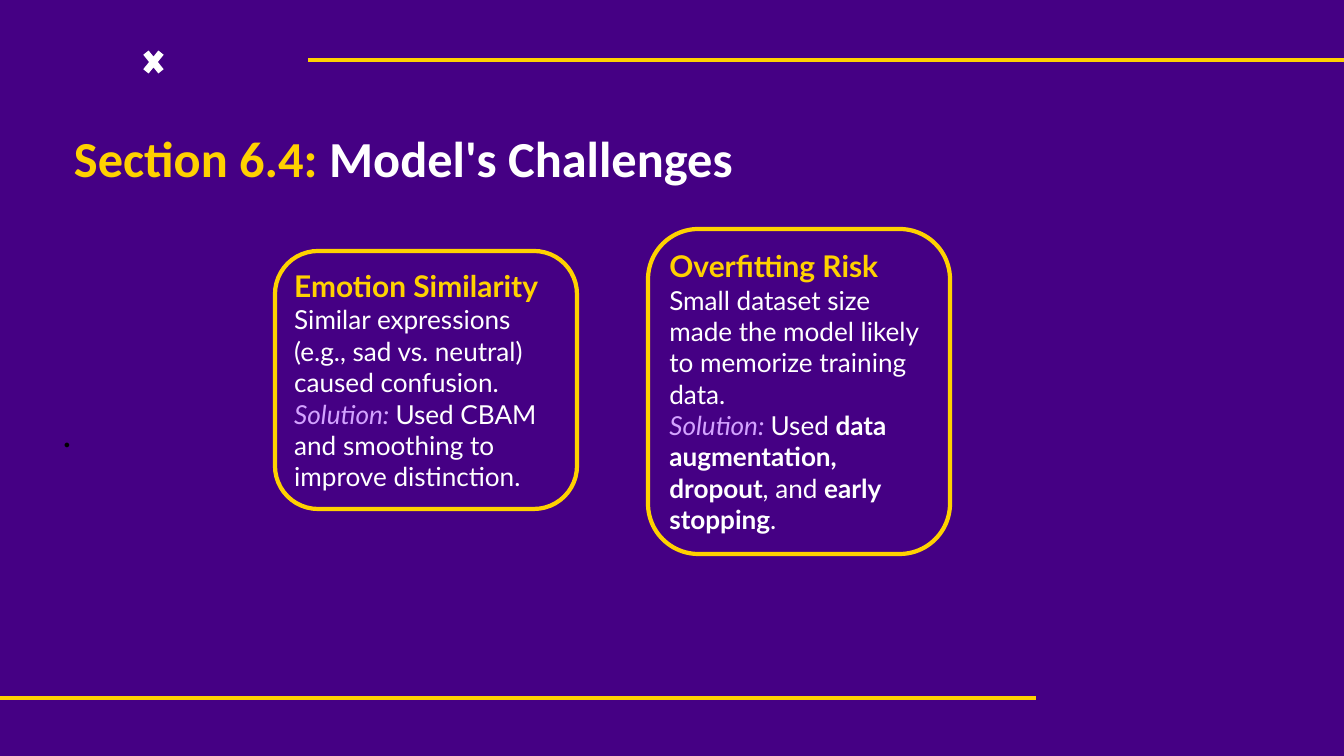
from dataclasses import dataclass

from lxml import etree
from pptx import Presentation
from pptx import util as u
from pptx.dml.color import RGBColor
from pptx.enum import shapes, text
from pptx.oxml.ns import qn

EMU_PER_PX = u.Inches(20) / 1344


@dataclass(frozen=True)
class Theme:
    """Colours, fonts and type sizes of the slide."""
    back: str = "450084"
    gold: str = "FFD100"
    white: str = "FFFFFF"
    lilac: str = "D3A3FF"
    black: str = "000000"
    title_font: str = "Calibri"
    body_font: str = "Lato"
    title: int = 54
    mark: int = 40
    heading: int = 32
    body: int = 28
    rule: float = 4.5


T = Theme()


def px(*values):
    """Turn pixel lengths into EMU."""
    return [u.Emu(round(v * EMU_PER_PX)) for v in values]


def rgb(value):
    """Turn a hex string into a colour."""
    return RGBColor.from_string(value)


def add_run(p, words, size, color, font=T.body_font, bold=False, italic=False):
    """Append one formatted run to a paragraph."""
    r = p.add_run()
    r.text = words
    r.font.size, r.font.name = u.Pt(size), font
    r.font.bold, r.font.italic = bold, italic
    r.font.color.rgb = rgb(color)


def add_title(s, box, label, words):
    """Fill the title placeholder with a gold label and white words."""
    sp = s.shapes.title
    sp.left, sp.top, sp.width, sp.height = px(*box)
    tf = sp.text_frame
    tf.auto_size = text.MSO_AUTO_SIZE.NONE
    tf.margin_left, tf.margin_top, tf.margin_right, tf.margin_bottom = px(34, 0, 0, 0)
    p = tf.paragraphs[0]
    p.alignment = text.PP_ALIGN.LEFT
    add_run(p, label, T.title, T.gold, T.title_font, bold=True)
    add_run(p, words, T.title, T.white, T.title_font, bold=True)


def add_mark(s, box, words):
    """Add a vertically centred line of dark text."""
    tf = s.shapes.add_textbox(*px(*box)).text_frame
    tf.word_wrap = True
    tf.vertical_anchor = text.MSO_ANCHOR.MIDDLE
    add_run(tf.paragraphs[0], words, T.mark, T.black)


def add_card(s, box, heading, problem, solution):
    """Add an outlined card; solution holds paragraphs of (words, bold) runs."""
    sp = s.shapes.add_shape(shapes.MSO_SHAPE.FLOWCHART_ALTERNATE_PROCESS, *px(*box))
    sp.shadow.inherit = False
    sp.fill.background()
    sp.line.color.rgb, sp.line.width = rgb(T.gold), u.Pt(T.rule)
    tf = sp.text_frame
    tf.word_wrap = True
    tf.vertical_anchor = text.MSO_ANCHOR.MIDDLE
    add_run(tf.paragraphs[0], heading, T.heading, T.gold, bold=True)
    add_run(tf.add_paragraph(), problem, T.body, T.white)
    for i, runs in enumerate(solution):
        p = tf.add_paragraph()
        if i == 0:
            add_run(p, "Solution: ", T.body, T.lilac, italic=True)
        for words, bold in runs:
            add_run(p, words, T.body, T.white, bold=bold)
    for p in tf.paragraphs:
        p.alignment = text.PP_ALIGN.LEFT


def add_rule(s, x1, x2, y):
    """Draw a horizontal gold rule."""
    c = s.shapes.add_connector(shapes.MSO_CONNECTOR.STRAIGHT, *px(x1, y, x2, y))
    c.line.color.rgb, c.line.width = rgb(T.gold), u.Pt(T.rule)
    etree.SubElement(c._element.spPr, qn("a:effectLst"))


def add_cross(s, box):
    """Add the white cross ornament."""
    sp = s.shapes.add_shape(shapes.MSO_SHAPE.MATH_MULTIPLY, *px(*box))
    sp.shadow.inherit = False
    sp.fill.solid()
    sp.fill.fore_color.rgb = rgb(T.white)
    sp.line.fill.background()


def main():
    """Build and save the slide."""
    prs = Presentation()
    prs.slide_width, prs.slide_height = px(1344, 756)
    s = prs.slides.add_slide(prs.slide_layouts[5])
    s.background.fill.solid()
    s.background.fill.fore_color.rgb = rgb(T.back)

    add_mark(s, (56, 282, 1288, 301), ".")
    add_title(s, (40, 127, 1216, 61), "Section 6.4: ", "Model's Challenges")
    add_card(s, (648, 229, 302, 325), "Overfitting Risk",
             "Small dataset size made the model likely to memorize training data.",
             [[("Used ", False), ("data augmentation, ", True)],
              [("dropout", True), (", and ", False), ("early stopping", True), (".", False)]])
    add_card(s, (275, 251, 302, 258), "Emotion Similarity",
             "Similar expressions (e.g., sad vs. neutral) caused confusion.",
             [[("Used CBAM and smoothing to improve distinction.", False)]])
    add_cross(s, (139, 44, 29, 36))
    add_rule(s, 308, 1344, 60)
    add_rule(s, 0, 1036, 698)
    prs.save("out.pptx")


if __name__ == "__main__":
    main()
